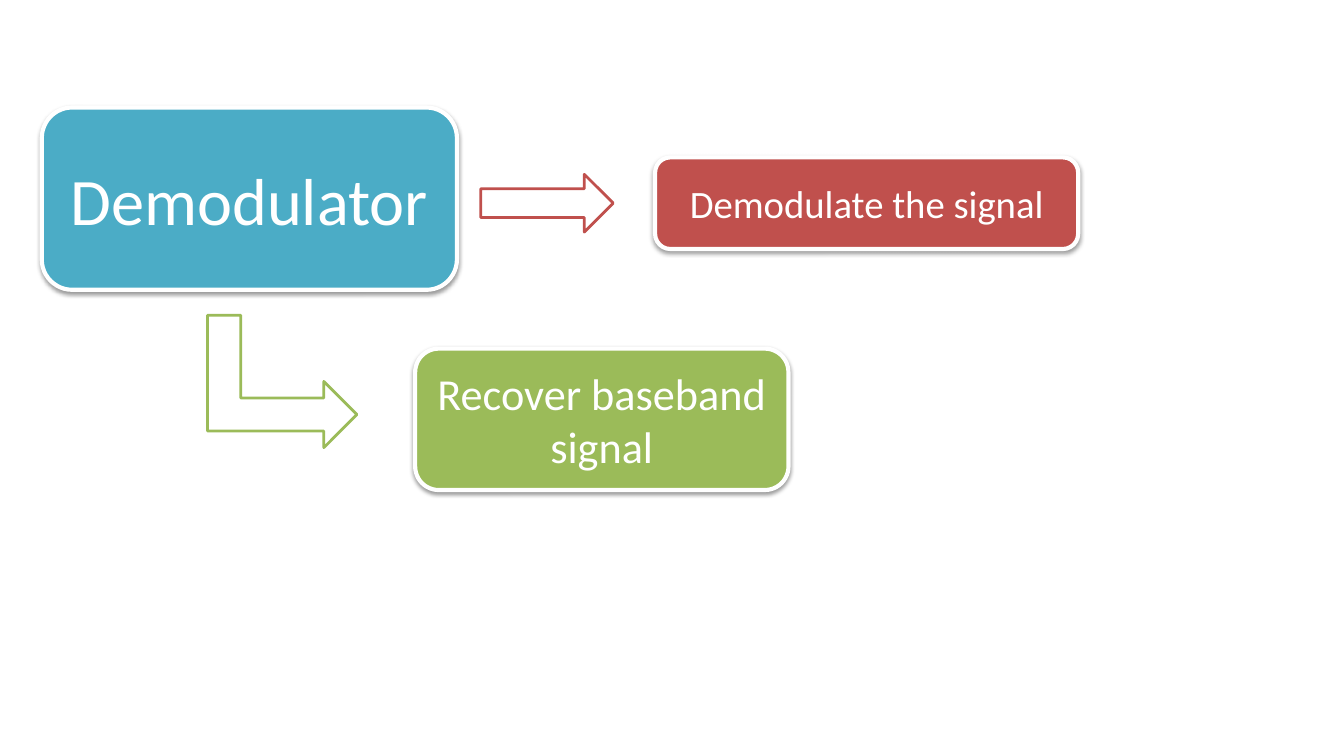
from lxml import etree
from pptx import Presentation
from pptx.dml.color import RGBColor
from pptx.enum import shapes, text
from pptx.oxml import ns
from pptx.util import Inches, Pt

COLORS = {
    "teal": "4BACC6",
    "red": "C0504D",
    "green": "9BBB59",
    "white": "FFFFFF",
    "shadow": "000000",
}
FONT = "Calibri"
SHAPE = shapes.MSO_SHAPE


def color(name):
    return RGBColor.from_string(COLORS[name])


def add_figure(slide, kind, box, fill, line, line_width):
    shape = slide.shapes.add_shape(kind, *[Inches(length) for length in box])
    shape.shadow.inherit = False
    shape.fill.solid()
    shape.fill.fore_color.rgb = color(fill)
    shape.line.color.rgb = color(line)
    shape.line.width = Pt(line_width)
    return shape


def add_shadow(shape):
    effects = shape.element.spPr.find(ns.qn("a:effectLst"))
    shadow = etree.SubElement(
        effects,
        ns.qn("a:outerShdw"),
        blurRad=str(Pt(3.1)),
        dist=str(Pt(1.6)),
        dir="5400000",
        rotWithShape="0",
    )
    shade = etree.SubElement(shadow, ns.qn("a:srgbClr"), val=COLORS["shadow"])
    etree.SubElement(shade, ns.qn("a:alpha"), val="38000")


def add_block(slide, box, fill, label, size):
    shape = add_figure(slide, SHAPE.FLOWCHART_ALTERNATE_PROCESS, box, fill, "white", 3)
    add_shadow(shape)
    frame = shape.text_frame
    frame.word_wrap = True
    frame.vertical_anchor = text.MSO_ANCHOR.MIDDLE
    paragraph = frame.paragraphs[0]
    paragraph.alignment = text.PP_ALIGN.CENTER
    run = paragraph.add_run()
    run.text = label
    run.font.name = FONT
    run.font.size = Pt(size)
    run.font.color.rgb = color("white")


def add_arrow(slide, kind, box, line, rotation=0):
    arrow = add_figure(slide, kind, box, "white", line, 2)
    arrow.rotation = rotation


def main():
    presentation = Presentation()
    presentation.slide_width = Inches(13.5)
    presentation.slide_height = Inches(7.5)
    slide = presentation.slides.add_slide(presentation.slide_layouts[6])

    add_block(slide, (0.42, 1.08, 4.17, 1.83), "teal", "Demodulator", 48)
    add_arrow(slide, SHAPE.RIGHT_ARROW, (4.83, 1.75, 1.33, 0.58), "red")
    add_arrow(slide, SHAPE.BENT_UP_ARROW, (2.17, 3.08, 1.33, 1.5), "green", 90)
    add_block(slide, (6.58, 1.58, 4.25, 0.92), "red", "Demodulate the signal", 28)
    add_block(slide, (4.17, 3.5, 3.75, 1.42), "green", "Recover baseband signal", 32)

    presentation.save("out.pptx")


if __name__ == "__main__":
    main()
